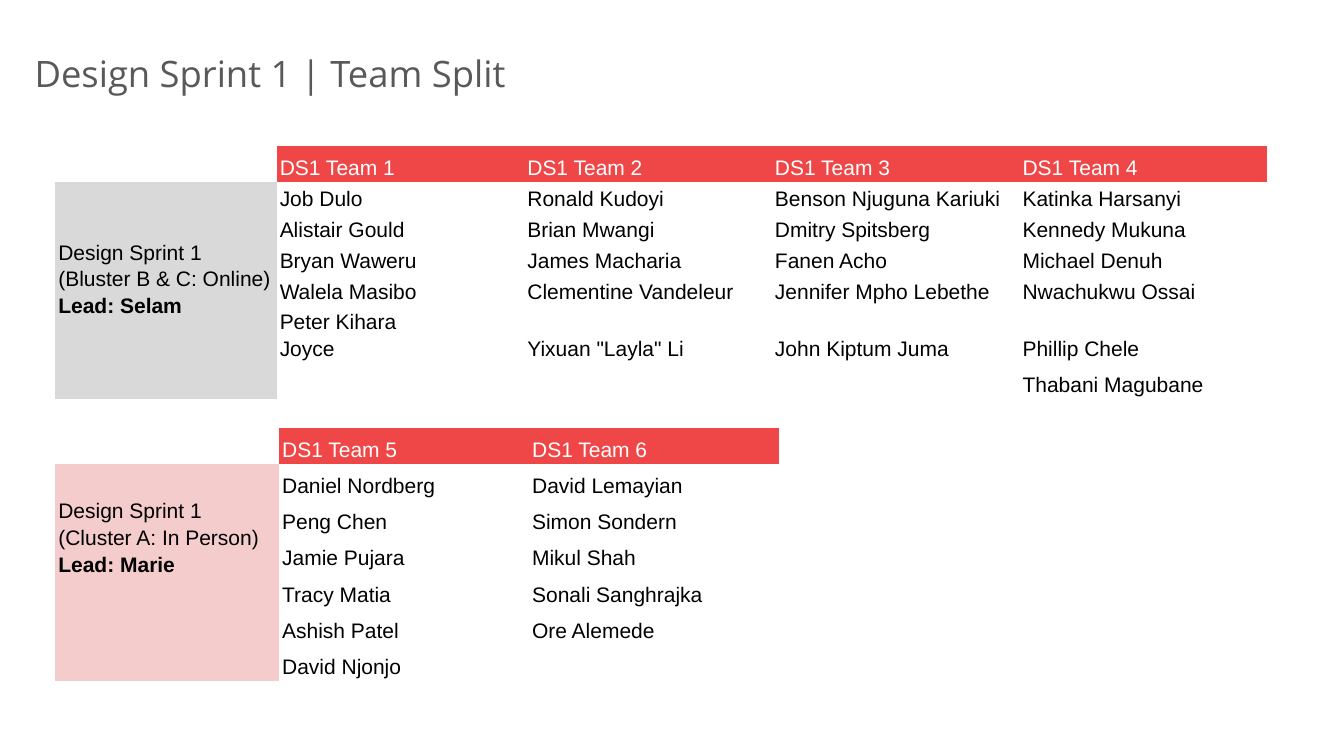
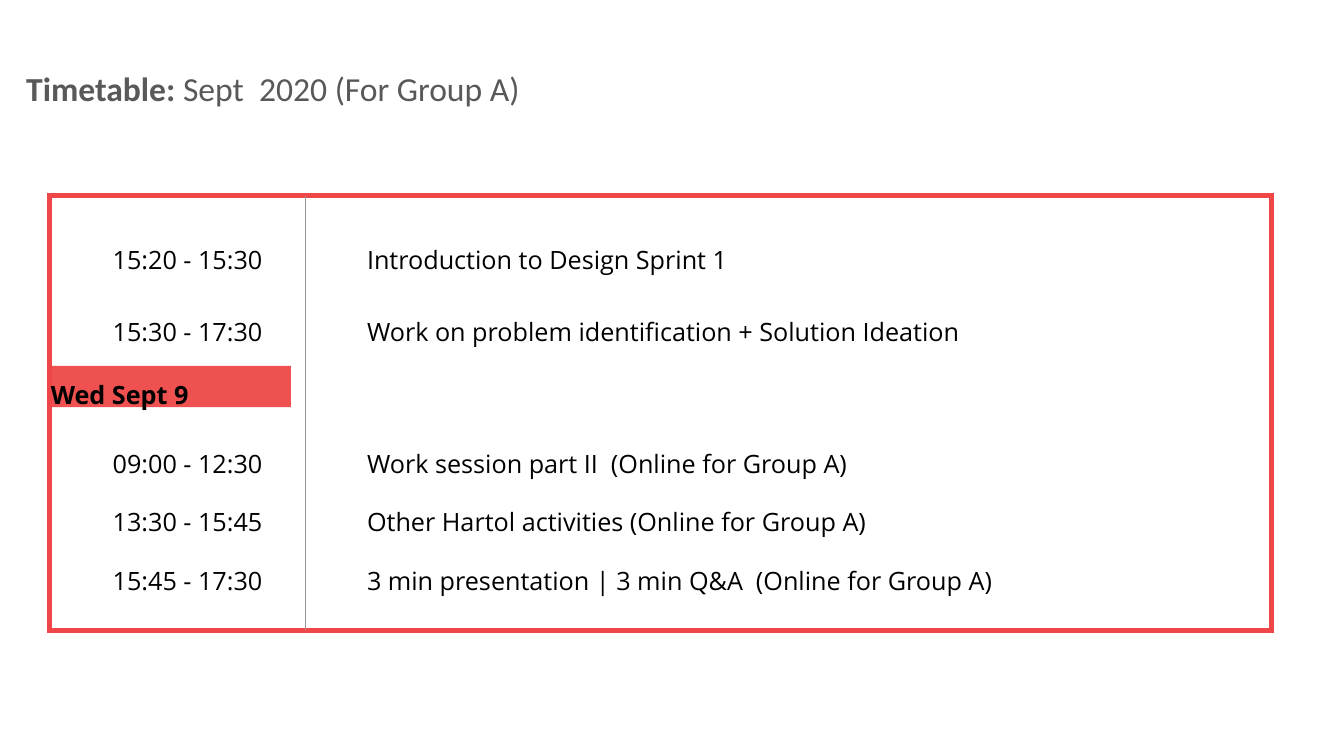
from itertools import zip_longest

from lxml import etree
from pptx import Presentation
from pptx.dml.color import RGBColor
from pptx.enum.shapes import MSO_CONNECTOR, MSO_SHAPE
from pptx.enum.text import MSO_ANCHOR, MSO_AUTO_SIZE, PP_ALIGN
from pptx.oxml.ns import qn
from pptx.util import Cm, Pt

RED = RGBColor(0xEF, 0x47, 0x47)
PINK = RGBColor(0xF4, 0xCC, 0xCC)
LIGHT_GREY = RGBColor(0xD9, 0xD9, 0xD9)
RULE_GREY = RGBColor(0x96, 0x96, 0x96)
TITLE_GREY = RGBColor(0x59, 0x59, 0x59)
WHITE = RGBColor(0xFF, 0xFF, 0xFF)
BLACK = RGBColor(0, 0, 0)

RECTANGLE = MSO_SHAPE.RECTANGLE
STRAIGHT = MSO_CONNECTOR.STRAIGHT
TOP, MIDDLE, BOTTOM = MSO_ANCHOR.TOP, MSO_ANCHOR.MIDDLE, MSO_ANCHOR.BOTTOM
NO_AUTOFIT = MSO_AUTO_SIZE.NONE
LEFT = PP_ALIGN.LEFT

TITLE_ONLY = 5
NO_TABLE_STYLE = "{2D5ABB26-0587-4C30-8999-92F81FD0307C}"
LINE_HEIGHT = 1.04
TEAM_COLUMNS = 4

ONLINE_LABEL = ["Design Sprint 1", "(Bluster B & C: Online)", "Lead: Selam"]
ONLINE_TEAMS = [
    ["DS1 Team 1", "Job Dulo", "Alistair Gould", "Bryan Waweru",
     "Walela Masibo", "Peter Kihara\nJoyce"],
    ["DS1 Team 2", "Ronald Kudoyi", "Brian Mwangi", "James Macharia",
     "Clementine Vandeleur", 'Yixuan "Layla" Li'],
    ["DS1 Team 3", "Benson Njuguna Kariuki", "Dmitry Spitsberg", "Fanen Acho",
     "Jennifer Mpho Lebethe", "John Kiptum Juma"],
    ["DS1 Team 4", "Katinka Harsanyi", "Kennedy Mukuna", "Michael Denuh",
     "Nwachukwu Ossai", "Phillip Chele", "Thabani Magubane"],
]
IN_PERSON_LABEL = ["Design Sprint 1", "(Cluster A: In Person)", "Lead: Marie"]
IN_PERSON_TEAMS = [
    ["DS1 Team 5", "Daniel Nordberg", "Peng Chen", "Jamie Pujara",
     "Tracy Matia", "Ashish Patel", "David Njonjo"],
    ["DS1 Team 6", "David Lemayian", "Simon Sondern", "Mikul Shah",
     "Sonali Sanghrajka", "Ore Alemede"],
]
SESSIONS = [
    (5.82, "15:20 - 15:30", "Introduction to Design Sprint 1", 13.59),
    (7.64, "15:30 - 17:30", "Work on problem identification + Solution Ideation", 21.11),
    (10.97, "09:00 - 12:30", "Work session part II  (Online for Group A)", 13.59),
    (12.42, "13:30 - 15:45", "Other Hartol activities (Online for Group A)", 13.59),
    (13.92, "15:45 - 17:30", "3 min presentation | 3 min Q&A  (Online for Group A)", 18.03),
]


class Deck:
    """Holds the shared style and the slide being built."""

    def __init__(self):
        self.presentation = Presentation()
        self.presentation.slide_width = Cm(33.87)
        self.presentation.slide_height = Cm(19.05)
        self.slide = None

    def add_slide(self):
        layout = self.presentation.slide_layouts[TITLE_ONLY]
        self.slide = self.presentation.slides.add_slide(layout)

    @staticmethod
    def style_font(font, name, size, color, bold=False):
        font.name, font.size, font.bold = name, Pt(size), bold
        font.color.rgb = color

    @staticmethod
    def prepare_frame(frame, anchor):
        frame.margin_left = frame.margin_right = 0
        frame.margin_top = frame.margin_bottom = 0
        frame.word_wrap = True
        frame.auto_size = NO_AUTOFIT
        frame.vertical_anchor = anchor

    def title(self, left, top, parts, font_name, size):
        title = self.slide.shapes.title
        title.left, title.top = Cm(left), Cm(top)
        title.width, title.height = Cm(30.81), Cm(1.02)
        self.prepare_frame(title.text_frame, TOP)
        paragraph = title.text_frame.paragraphs[0]
        paragraph.alignment = LEFT
        for wording, bold in parts:
            run = paragraph.add_run()
            run.text = wording
            self.style_font(run.font, font_name, size, TITLE_GREY, bold)

    def write_line(self, frame, wording, bold=False):
        self.prepare_frame(frame, MIDDLE)
        paragraph = frame.paragraphs[0]
        paragraph.text = wording
        paragraph.alignment = LEFT
        paragraph.line_spacing = 1.5
        self.style_font(paragraph.font, "Open Sans", 18, BLACK, bold)

    def text(self, left, top, width, wording):
        box = self.slide.shapes.add_textbox(Cm(left), Cm(top), Cm(width), Cm(LINE_HEIGHT))
        self.write_line(box.text_frame, wording)

    def rectangle(self, left, top, width, height, color):
        panel = self.slide.shapes.add_shape(
            RECTANGLE, Cm(left), Cm(top), Cm(width), Cm(height))
        panel.shadow.inherit = False
        panel.fill.solid()
        panel.fill.fore_color.rgb = color
        panel.line.fill.background()
        return panel

    def frame(self, left, top, width, height):
        panel = self.rectangle(left, top, width, height, WHITE)
        panel.line.color.rgb = RED
        panel.line.width = Pt(3.5)
        outline = panel.element.spPr.find(qn("a:ln"))
        etree.SubElement(outline, qn("a:miter"), lim="800000")

    def day_band(self, left, top, width, wording):
        band = self.rectangle(left, top, width, LINE_HEIGHT, RED)
        color = band.element.spPr.find(qn("a:solidFill"))[0]
        etree.SubElement(color, qn("a:alpha"), val="94000")
        self.write_line(band.text_frame, wording, bold=True)

    def vertical_rule(self, x, top, bottom):
        rule = self.slide.shapes.add_connector(STRAIGHT, Cm(x), Cm(top), Cm(x), Cm(bottom))
        rule.line.color.rgb = RULE_GREY
        rule.line.width = Pt(1)
        etree.SubElement(rule.element.spPr, qn("a:effectLst"))

    def cell(self, cell, wording, fill=None, color=BLACK, anchor=BOTTOM):
        cell.margin_left = cell.margin_right = Cm(0.08)
        cell.margin_top = cell.margin_bottom = Cm(0.05)
        cell.vertical_anchor = anchor
        if fill is None:
            cell.fill.background()
        else:
            cell.fill.solid()
            cell.fill.fore_color.rgb = fill
        cell.text_frame.text = wording
        for paragraph in cell.text_frame.paragraphs:
            paragraph.line_spacing = 1.15
            self.style_font(paragraph.font, "Arial", 15, color)

    def team_table(self, top, label, label_fill, label_rows, teams, widths, heights,
                   label_bottom=0.05):
        label_width, team_width = widths
        members = list(zip_longest(*teams, fillvalue=""))
        graphic = self.slide.shapes.add_table(
            len(heights), TEAM_COLUMNS + 1, Cm(1.39), Cm(top),
            Cm(label_width + team_width * TEAM_COLUMNS), Cm(sum(heights)))
        graphic.element.find(".//" + qn("a:tableStyleId")).text = NO_TABLE_STYLE
        table = graphic.table
        table.first_row = table.horz_banding = False
        for column, width in zip(table.columns, [label_width] + [team_width] * TEAM_COLUMNS):
            column.width = Cm(width)
        for row, height in zip(table.rows, heights):
            row.height = Cm(height)

        for index in range(len(heights)):
            is_member_row = 0 < index < len(members)
            self.cell(table.cell(index, 0), "", label_fill if is_member_row else None)
            for number in range(TEAM_COLUMNS):
                is_filled = index < len(members) and number < len(teams)
                is_header = is_filled and index == 0
                self.cell(table.cell(index, number + 1),
                          members[index][number] if is_filled else "",
                          RED if is_header else None, WHITE if is_header else BLACK)
        label_cell = table.cell(1, 0)
        label_cell.merge(table.cell(label_rows, 0))
        self.cell(label_cell, "\n".join(label), label_fill, anchor=MIDDLE)
        label_cell.margin_bottom = Cm(label_bottom)
        label_cell.text_frame.paragraphs[-1].font.bold = True


def build_team_split(deck):
    deck.add_slide()
    deck.title(0.87, 1.3, [("Design Sprint 1 | Team Split", False)], "Open Sans", 26)
    deck.team_table(10.78, IN_PERSON_LABEL, PINK, 4, IN_PERSON_TEAMS,
                    (5.64, 6.3), [0.91] * 8)
    deck.team_table(3.68, ONLINE_LABEL, LIGHT_GREY, 6, ONLINE_TEAMS,
                    (5.58, 6.24), [0.91] + [0.56] * 4 + [0.81, 0.91], label_bottom=0.7)


def build_timetable(deck):
    deck.add_slide()
    deck.title(0.66, 1.71, [("Timetable: ", True), ("Sept  2020 (For Group A)", False)],
               "Calibri", 24)
    deck.frame(1.24, 4.93, 30.81, 10.97)
    deck.vertical_rule(7.7, 4.95, 15.88)
    deck.day_band(1.28, 9.22, 6.05, "Wed Sept 9")
    for top, hours, activity, width in SESSIONS:
        deck.text(2.84, top, 4.5, hours)
        deck.text(9.25, top, width, activity)


def main():
    deck = Deck()
    build_team_split(deck)
    build_timetable(deck)
    deck.presentation.save("out.pptx")


if __name__ == "__main__":
    main()
